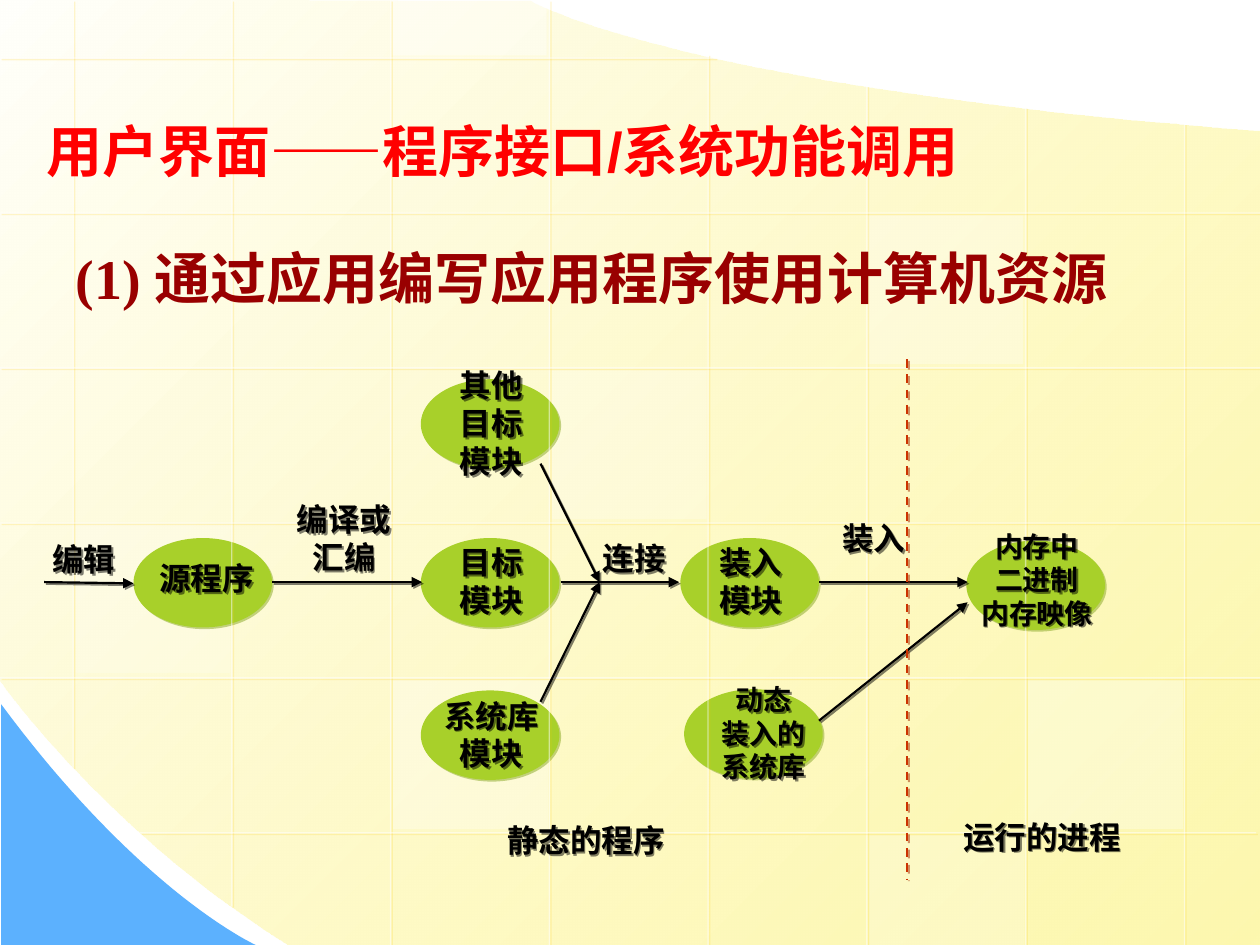
"""Build the slide on program interfaces and system calls."""
from lxml import etree
from pptx import Presentation
from pptx.dml.color import RGBColor
from pptx.enum.dml import MSO_LINE
from pptx.enum.shapes import MSO_CONNECTOR, MSO_SHAPE
from pptx.enum.text import PP_ALIGN
from pptx.oxml.ns import qn
from pptx.util import Inches, Pt

WHITE = RGBColor(0xFF, 0xFF, 0xFF)
CREAM = RGBColor(0xFF, 0xFF, 0xFB)
YELLOW = RGBColor(0xFD, 0xF5, 0x8D)
GOLD = RGBColor(0xFF, 0xCC, 0x00)
BLUE = RGBColor(0x5C, 0xB1, 0xFE)
GREEN = RGBColor(0xA8, 0xD0, 0x2A)
OLIVE = RGBColor(0x87, 0xA7, 0x22)
BLACK = RGBColor(0, 0, 0)
RED = RGBColor(0xFF, 0, 0)
MAROON = RGBColor(0x99, 0, 0)
RUST = RGBColor(0xCC, 0x33, 0x00)
BRICK = RGBColor(0xA3, 0x29, 0x00)
LINE, OVAL, RECT = MSO_CONNECTOR.STRAIGHT, MSO_SHAPE.OVAL, MSO_SHAPE.RECTANGLE
DASH, LEFT, CENTER = MSO_LINE.DASH, PP_ALIGN.LEFT, PP_ALIGN.CENTER


def fade(part, alpha):
    for tint in part.iter(qn("a:srgbClr")):
        etree.SubElement(tint, qn("a:alpha"), val=str(alpha * 1000))


def shade(props, color, alpha):
    effects = etree.SubElement(props, qn("a:effectLst"))
    attrs = {"blurRad": "0", "dist": str(Pt(1.4)), "dir": "2700000", "algn": "ctr"}
    cast = etree.SubElement(effects, qn("a:outerShdw"), attrs)
    etree.SubElement(cast, qn("a:srgbClr"), val=str(color))
    fade(cast, alpha)


deck = Presentation()
deck.slide_width, deck.slide_height = Inches(10), Inches(7.5)
shapes = deck.slides.add_slide(deck.slide_layouts[6]).shapes

# Curved backdrop
start_sheet, start_wedge = (10, 1.04), (0.01, 5.59)
sheet = [
    [(10, 7.5)], [(2.3, 7.5)], [(0.86, 6.61), (-0.01, 5.39), (0, 5.39)],
    [(-0.01, -0.01)], [(4.21, 0.01)], [(4.21, 0.01), (5.37, 0.69), start_sheet],
]
wedge = [[(0.01, 7.5)], [(2.03, 7.5)], [(2.03, 7.5), (1.12, 7.09), start_wedge]]
panels = []
for start, steps in ((start_sheet, sheet), (start_wedge, wedge)):
    dots = [start]
    for step in steps:
        if len(step) == 1:
            dots += step
            continue
        curve = [dots[-1], *step]
        for i in range(1, 41):
            t = i / 40
            mix = [(1 - t) ** 3, 3 * t * (1 - t) ** 2, 3 * t * t * (1 - t), t ** 3]
            dots.append(tuple(sum(w * dot[axis] for w, dot in zip(mix, curve)) for axis in (0, 1)))
    dots = [(Inches(x), Inches(y)) for x, y in dots]
    pen = shapes.build_freeform(*dots[0])
    pen.add_line_segments(dots[1:], close=True)
    panel = pen.convert_to_shape()
    panel.shadow.inherit = False
    panel.line.fill.background()
    panels.append(panel)

back, front = panels
front.fill.solid()
front.fill.fore_color.rgb = BLUE
back.fill.gradient()
back.fill.gradient_angle = 315
for stop, color in zip(back.fill.gradient_stops, (CREAM, YELLOW)):
    stop.color.rgb = color
last = back._element.spPr.findall(".//" + qn("a:gs"))[-1]
fade(last, 70)

# Pale tiles and green nodes
tiles = [
    (4.38, 2.94, 1.18, 25), (8.16, 5.4, 1.18, 30), (0.6, 4.16, 1.18, 20), (6.9, 6.63, 0.87, 20),
    (3.11, 0, 0.44, 40), (3.12, 5.4, 1.18, 30), (6.89, 1.71, 1.18, 30),
]
for x, y, high, alpha in tiles:
    tile = shapes.add_shape(RECT, Inches(x), Inches(y), Inches(1.23), Inches(high))
    tile.shadow.inherit = False
    tile.line.fill.background()
    tile.fill.solid()
    tile.fill.fore_color.rgb = WHITE
    fade(tile._element.spPr, alpha)

label = {"name": "Arial", "size": Pt(18), "bold": True}
small = {**label, "size": Pt(16)}
nodes = [
    ("源程序", 1.06, 4.27, 1.05, 4.39, label),
    ("目标\n模块", 3.34, 4.27, 3.31, 4.26, label),
    ("装入\n模块", 5.4, 4.27, 5.37, 4.26, label),
    ("其他\n目标\n模块", 3.34, 3.01, 3.31, 2.86, label),
    ("系统库\n模块", 3.34, 5.48, 3.31, 5.48, label),
    ("内存中\n二进制\n内存映像", 7.67, 4.29, 7.64, 4.15, small),
    ("动态\n装入的\n系统库", 5.43, 5.47, 5.47, 5.37, small),
]
for words, x, y, *rest in nodes:
    node = shapes.add_shape(OVAL, Inches(x), Inches(y), Inches(1.1), Inches(0.71))
    node.line.fill.background()
    node.fill.solid()
    node.fill.fore_color.rgb = GREEN
    shade(node._element.spPr, OLIVE, 50)

# Grid lines, arrows and the divider
thin = {"color": WHITE, "width": 0.75, "cast": GOLD, "alpha": 34}
flow = {"color": BLACK, "width": 1.25, "cast": BLACK, "alpha": 50}
split = {"color": RUST, "width": 1.25, "cast": BRICK, "alpha": 50}
columns = [(0, 6.09), (0, 7.19), (0, 7.5), (0, 7.5), (0.43, 7.5), (0.68, 7.5), (0.85, 7.5), (0.98, 7.5)]
rows = [(0, 5.68), (0, 10), (0, 10), (0, 10), (0, 10), (1.11, 9.97)]
arrows = [
    (0.35, 4.62, 1.06, 4.63), (2.16, 4.62, 3.35, 4.62), (4.45, 4.62, 5.39, 4.62),
    (4.29, 5.57, 4.76, 4.62), (4.29, 3.68, 4.76, 4.62), (6.5, 4.62, 7.68, 4.62),
    (6.5, 5.72, 7.68, 4.78),
]
rules = [(0.58 + 1.26 * i, top, 0.58 + 1.26 * i, end, thin) for i, (top, end) in enumerate(columns)]
rules += [(left, 0.46 + 1.23 * i, right, 0.46 + 1.23 * i, thin) for i, (left, right) in enumerate(rows)]
rules += [(*ends, flow) for ends in arrows]
rules.append((7.2, 2.85, 7.2, 6.98, split))
for *ends, look in rules:
    rule = shapes.add_connector(LINE, *map(Inches, ends))
    rule.line.color.rgb = look["color"]
    rule.line.width = Pt(look["width"])
    props = rule._element.spPr
    edge = props.find(qn("a:ln"))
    if look is thin:
        fade(edge, 50)
    elif look is flow:
        etree.SubElement(edge, qn("a:tailEnd"), type="triangle")
    else:
        rule.line.dash_style = DASH
    shade(props, look["cast"], look["alpha"])

# Headings and labels
head = {"name": "Arial", "size": Pt(32), "bold": True}
body = {**head, "name": "Times New Roman"}
notes = [
    ("编辑", 0.27, 4.24, 0.79, 0.4), ("编译或汇编", 2.22, 3.92, 1.02, 0.7),
    ("连接", 4.6, 4.23, 0.87, 0.4), ("装入", 6.5, 4.07, 0.87, 0.4),
    ("静态的程序", 3.9, 6.47, 1.5, 0.4), ("运行的进程", 7.52, 6.44, 1.5, 0.4),
]
texts = [
    ("(1) 通过应用编写应用程序使用计算机资源", 0.5, 1.75, 9, 1.06, body, MAROON, 1.25),
    ("用户界面——程序接口/系统功能调用", 0.27, 0.77, 8.36, 0.75, head, RED, 1.2),
]
for words, _, _, x, y, form in nodes:
    high = 0.1 + form["size"].inches * 1.2 * len(words.split("\n"))
    texts.append((words, x, y, 1.18, high, form, BLACK, 1))
texts += [(*note, label, BLACK, 1) for note in notes]
for words, x, y, wide, high, form, color, gap in texts:
    box = shapes.add_textbox(*map(Inches, (x, y, wide, high)))
    frame = box.text_frame
    frame.word_wrap = True
    frame.text = words
    centred = color == BLACK
    if centred:
        shade(box._element.spPr, BLACK, 50)
    for para in frame.paragraphs:
        para.line_spacing = gap
        para.alignment = CENTER if centred else LEFT
        if not centred:
            props = para._p.get_or_add_pPr()
            props.set("marL", str(Inches(0.58)))
            props.set("indent", str(Inches(-0.58)))
        font = para.runs[0].font
        for key, value in form.items():
            setattr(font, key, value)
        font.color.rgb = color

deck.save("out.pptx")
